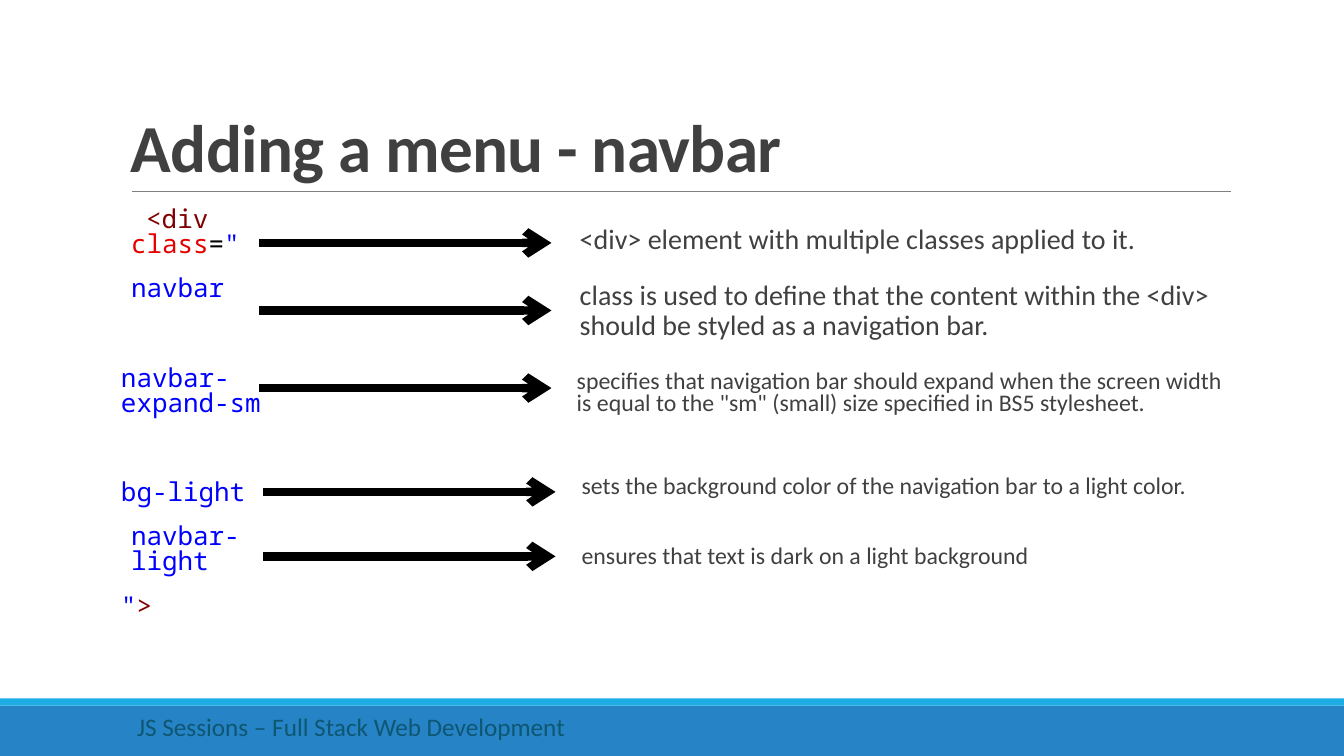
from lxml.etree import SubElement
from pptx import Presentation
from pptx.dml.color import RGBColor
from pptx.enum.shapes import MSO_CONNECTOR, MSO_SHAPE
from pptx.enum.text import MSO_ANCHOR
from pptx.oxml.ns import qn
from pptx.util import Inches, Pt

BLACK = RGBColor(0x00, 0x00, 0x00)
DARK = RGBColor(0x40, 0x40, 0x40)
GRAY = RGBColor(0x80, 0x80, 0x80)
BLUE = RGBColor(0x26, 0x83, 0xC6)
CYAN = RGBColor(0x1C, 0xAD, 0xE4)
TEAL = RGBColor(0x0E, 0x57, 0x72)
TAG = RGBColor(0x80, 0x00, 0x00)
ATTRIBUTE = RGBColor(0xE5, 0x00, 0x00)
VALUE = RGBColor(0x00, 0x00, 0xFF)

CODE = [
    dict(runs=[("<div ", TAG), ("class", ATTRIBUTE), ("=", BLACK), ('"', VALUE)],
         left=0.1, first=0.15),
    dict(runs=[("navbar", VALUE)], left=0.1, before=12),
    dict(runs=[("navbar-expand-sm", VALUE)], before=44),
    dict(runs=[("bg-light", VALUE)], before=44),
    dict(runs=[("navbar-light", VALUE)], left=0.1, before=12),
    dict(runs=[('"', VALUE), (">", TAG)], before=12),
]

NOTES = [
    ("<div> element with multiple classes applied to it.",
     (5.75, 2.19, 5.53, 0.74), dict(size=20, spacing=0.9)),
    ("class is used to define that the content within the <div> should be "
     "styled as a navigation bar.",
     (5.75, 2.74, 6.59, 0.74), dict(size=20, spacing=0.9)),
    ("specifies that navigation bar should expand when the screen width is "
     'equal to the "sm" (small) size specified in BS5 stylesheet.',
     (5.72, 3.63, 6.59, 0.74), dict(size=17, spacing=0.8)),
    ("sets the background color of the navigation bar to a light color.",
     (5.67, 4.62, 6.67, 0.39), dict(size=17, inset=0.1)),
    ("ensures that text is dark on a light background",
     (5.67, 5.31, 6.67, 0.39), dict(size=17, inset=0.1)),
]

ARROWS = [(2.57, 2.41), (2.57, 3.08), (2.57, 3.85), (2.61, 4.88), (2.61, 5.52)]
ARROW_LENGTH = 2.9


def add_frame(s, box, inset=0, anchor=MSO_ANCHOR.TOP):
    """Add a wrapping text box and return its text frame."""
    tf = s.shapes.add_textbox(*map(Inches, box)).text_frame
    tf.word_wrap = True
    tf.vertical_anchor = anchor
    tf.margin_left = tf.margin_right = Inches(inset)
    return tf


def add_run(p, text, size=18, color=DARK, font="Calibri", bold=False, tracking=0):
    """Add a formatted run to a paragraph."""
    r = p.add_run()
    r.text = text
    r.font.name, r.font.size, r.font.bold = font, Pt(size), bold
    r.font.color.rgb = color
    if tracking:
        r.font._element.set("spc", str(int(tracking * 100)))


def add_text(s, text, box, inset=0, anchor=MSO_ANCHOR.TOP, spacing=1.0, **style):
    """Add a text box with one paragraph."""
    p = add_frame(s, box, inset, anchor).paragraphs[0]
    p.line_spacing = spacing
    add_run(p, text, **style)


def add_code(s, box):
    """Add the column of coloured markup."""
    tf = add_frame(s, box)
    for i, line in enumerate(CODE):
        p = tf.add_paragraph() if i else tf.paragraphs[0]
        p.line_spacing = 0.8
        p.space_before, p.space_after = Pt(line.get("before", 0)), Pt(2)
        pPr = p._p.get_or_add_pPr()
        pPr.set("marL", str(Inches(line.get("left", 0))))
        pPr.set("indent", str(Inches(line.get("first", 0))))
        for text, color in line["runs"]:
            add_run(p, text, size=18.5, color=color, font="Noto Sans Mono")


def add_band(s, top, height, color):
    """Add a full-width footer band."""
    sp = s.shapes.add_shape(MSO_SHAPE.RECTANGLE, 0, Inches(top),
                            Inches(13.33), Inches(height))
    sp.shadow.inherit = False
    sp.fill.solid()
    sp.fill.fore_color.rgb = color
    sp.line.fill.background()


def add_line(s, x, y, length, color, width, arrow=False):
    """Add a horizontal line, with an arrowhead if asked."""
    c = s.shapes.add_connector(MSO_CONNECTOR.STRAIGHT, Inches(x), Inches(y),
                               Inches(x + length), Inches(y))
    c.line.color.rgb = color
    c.line.width = Pt(width)
    if arrow:
        SubElement(c.line._get_or_add_ln(), qn("a:tailEnd"), type="arrow")
    SubElement(c._element.spPr, qn("a:effectLst"))


def main():
    """Build the slide and save it."""
    prs = Presentation()
    prs.slide_width, prs.slide_height = Inches(13.33), Inches(7.5)
    s = prs.slides.add_slide(prs.slide_layouts[6])
    add_band(s, 7, 0.5, BLUE)
    add_band(s, 6.93, 0.07, CYAN)
    add_line(s, 1.31, 1.9, 10.9, GRAY, 0.5)
    add_text(s, "Adding a menu - navbar", (1.2, 0.31, 11, 1.59), inset=0.1,
             anchor=MSO_ANCHOR.BOTTOM, spacing=0.85, size=48, bold=True, tracking=-0.5)
    add_code(s, (1.2, 2.02, 1.71, 4.4))
    for text, box, style in NOTES:
        add_text(s, text, box, **style)
    for x, y in ARROWS:
        add_line(s, x, y, ARROW_LENGTH, BLACK, 6, arrow=True)
    add_text(s, "JS Sessions – Full Stack Web Development",
             (1.2, 7.01, 7.78, 0.4), inset=0.16, color=TEAL)
    prs.save("out.pptx")


if __name__ == "__main__":
    main()
